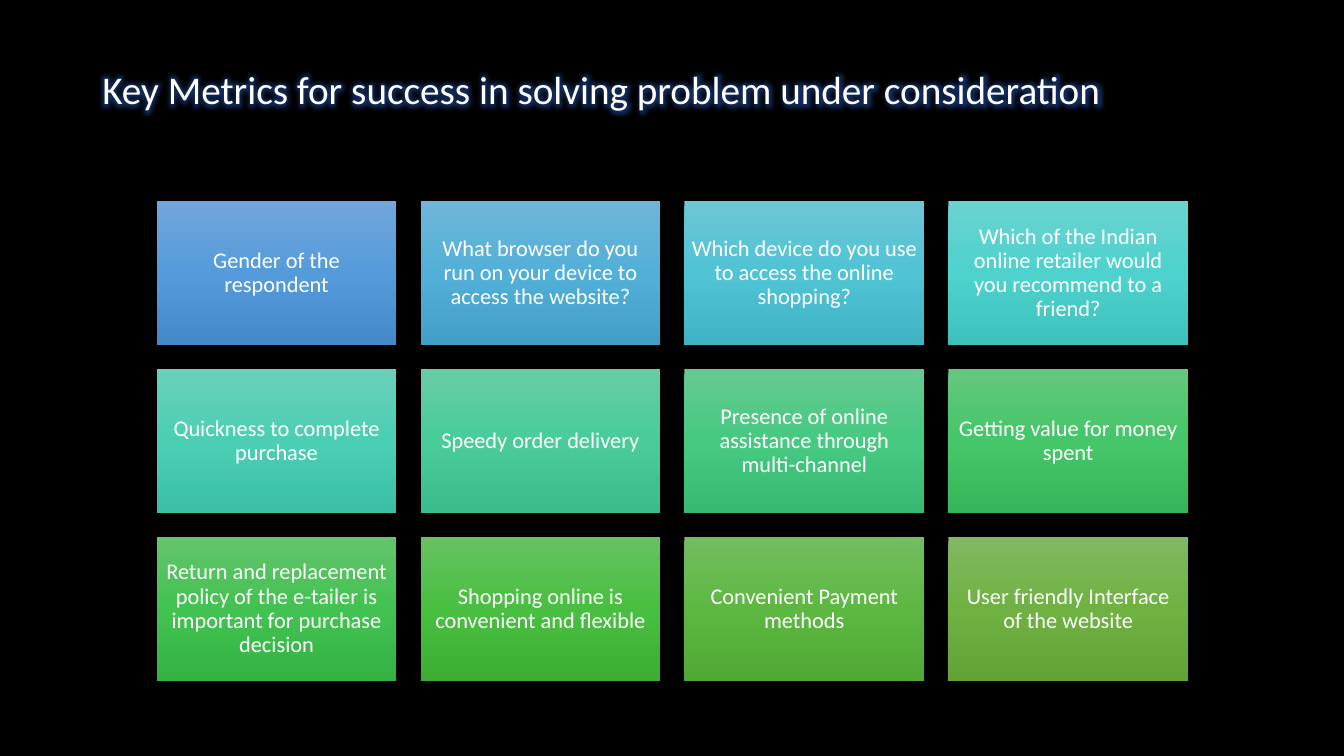
from copy import deepcopy

from lxml.etree import SubElement
from pptx import Presentation
from pptx.dml.color import RGBColor
from pptx.enum.shapes import MSO_SHAPE as SHAPE
from pptx.enum.text import MSO_ANCHOR as ANCHOR, PP_ALIGN as ALIGN
from pptx.oxml.ns import qn
from pptx.util import Cm, Pt

FONT = "Calibri"
WHITE = "FFFFFF"
COLUMNS = 4

METRICS = [
    ("Gender of the respondent", "71A6DB", "559BDB", "448ACA"),
    ("What browser do you run on your device to access the website?", "6FB6D8", "52AFD8", "429FC7"),
    ("Which device do you use to access the online shopping?", "6DC6D5", "50C3D5", "40B3C5"),
    ("Which of the Indian online retailer would you recommend to a friend?", "6BD3CF", "4DD2CE", "3EC2BD"),
    ("Quickness to complete purchase", "6AD0B9", "4BCFB4", "3CBFA4"),
    ("Speedy order delivery", "68CDA4", "49CC9A", "3ABC8B"),
    ("Presence of online assistance through multi-channel", "66CA90", "46C981", "38B972"),
    ("Getting value for money spent", "65C77D", "44C669", "36B65A"),
    ("Return and replacement policy of the e-tailer is important for purchase decision",
     "64C46C", "42C250", "34B342"),
    ("Shopping online is convenient and flexible", "67C162", "48BF40", "3CAE34"),
    ("Convenient Payment methods", "73BD61", "5DB841", "50A935"),
    ("User friendly Interface of the website", "81B861", "6FB242", "62A336"),
]


def rgb(value):
    """Turn a hex string into a colour."""
    return RGBColor.from_string(value)


def write_text(sp, text, size=16, color=WHITE, align=ALIGN.CENTER, inset=0.18, bottom=0.18):
    """Write one formatted, vertically centred paragraph and return its run."""
    tf = sp.text_frame
    tf.word_wrap = True
    tf.vertical_anchor = ANCHOR.MIDDLE
    tf.margin_left = tf.margin_right = tf.margin_top = Cm(inset)
    tf.margin_bottom = Cm(bottom)
    p = tf.paragraphs[0]
    p.alignment = align
    p.line_spacing = 0.9
    r = p.add_run()
    r.text = text
    r.font.size = Pt(size)
    r.font.name = FONT
    r.font.color.rgb = rgb(color)
    return r


def add_glow(r, color, radius, alpha):
    """Give a run a soft coloured glow."""
    r_pr = r.font._element
    effects = SubElement(r_pr, qn("a:effectLst"))
    r_pr.find(qn("a:solidFill")).addnext(effects)
    glow = SubElement(effects, qn("a:glow"), rad=str(Pt(radius)))
    clr = SubElement(glow, qn("a:srgbClr"), val=color)
    SubElement(clr, qn("a:alpha"), val=str(alpha * 1000))


def add_rect(slide, left, top, width, height):
    """Add a plain rectangle without line or shadow."""
    sp = slide.shapes.add_shape(SHAPE.RECTANGLE, left, top, width, height)
    sp.shadow.inherit = False
    sp.line.fill.background()
    return sp


def fill_gradient(sp, colors):
    """Fill a shape from top to bottom with evenly spaced colours."""
    fill = sp.fill
    fill.gradient()
    fill.gradient_angle = 270
    stops = sp._element.spPr.find(qn("a:gradFill")).find(qn("a:gsLst"))
    while len(stops) < len(colors):
        stops.append(deepcopy(stops[0]))
    for i, (stop, color) in enumerate(zip(fill.gradient_stops, colors)):
        stop.position = i / (len(colors) - 1)
        stop.color.rgb = rgb(color)


def add_backdrop(prs, slide):
    """Cover the slide with black, behind the title."""
    slide.background.fill.solid()
    slide.background.fill.fore_color.rgb = rgb("FFD966")
    sp = add_rect(slide, 0, 0, prs.slide_width, prs.slide_height)
    sp.fill.solid()
    sp.fill.fore_color.rgb = rgb("000000")
    slide.shapes.title._element.addprevious(sp._element)


def add_title(slide, text):
    """Place the glowing title."""
    title = slide.shapes.title
    title.left, title.top, title.width, title.height = Cm(2.33), Cm(1.01), Cm(29.21), Cm(3.68)
    r = write_text(title, text, size=28, align=ALIGN.LEFT, inset=0.25, bottom=1.34)
    add_glow(r, "2F6BE0", radius=8, alpha=40)


def add_metric(slide, index, text, colors):
    """Add one metric tile at its place in the grid."""
    row, col = divmod(index, COLUMNS)
    sp = add_rect(slide, Cm(3.95 + 6.65 * col), Cm(5.07 + 4.23 * row), Cm(6.04), Cm(3.63))
    fill_gradient(sp, colors)
    write_text(sp, text)


def main():
    """Build and save the slide."""
    prs = Presentation()
    prs.slide_width, prs.slide_height = Cm(33.87), Cm(19.05)
    slide = prs.slides.add_slide(prs.slide_layouts[5])
    add_backdrop(prs, slide)
    add_title(slide, "Key Metrics for success in solving problem under consideration")
    for i, (text, *colors) in enumerate(METRICS):
        add_metric(slide, i, text, colors)
    prs.save("out.pptx")


if __name__ == "__main__":
    main()
